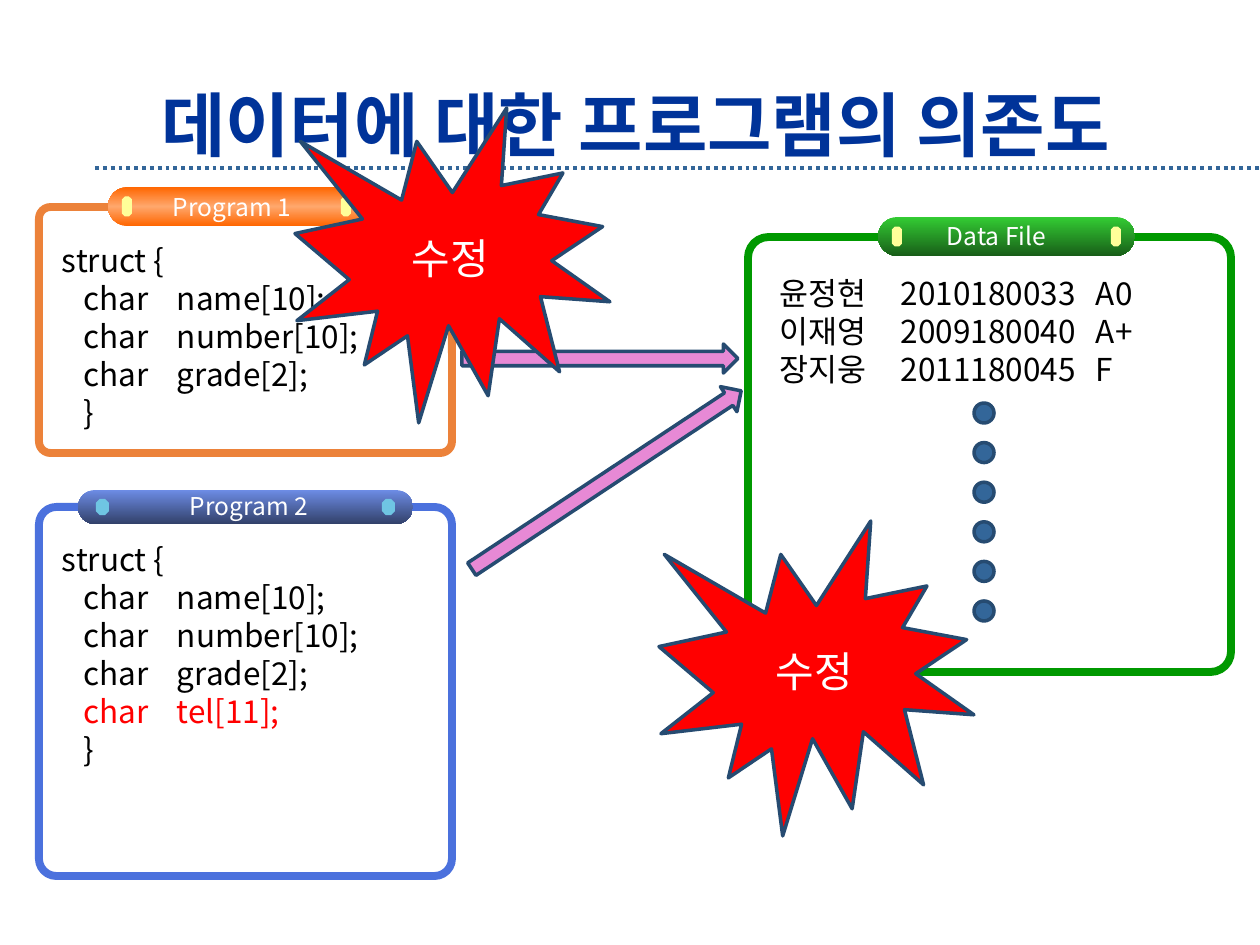
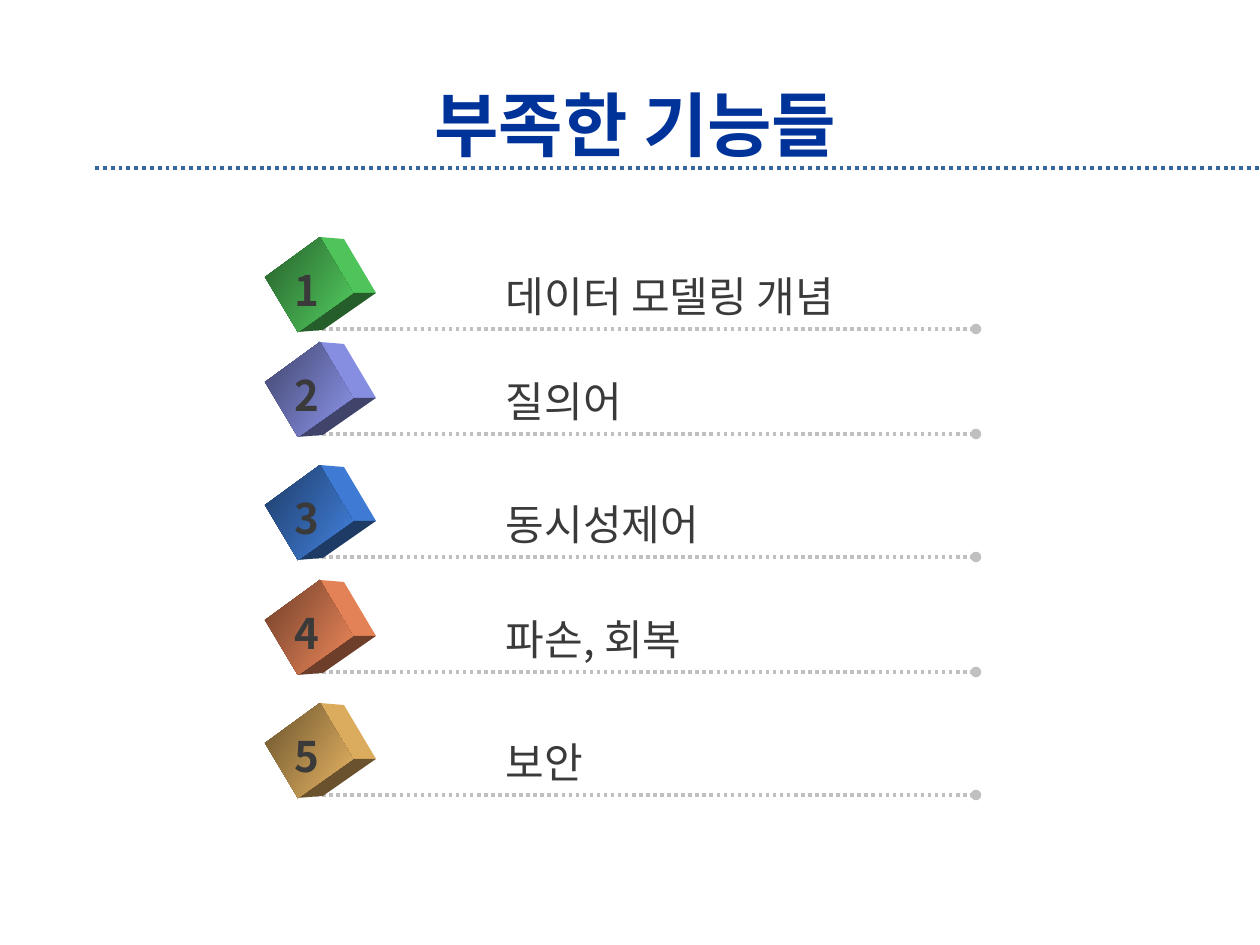
from lxml.etree import SubElement
from pptx import Presentation
from pptx.dml.color import RGBColor
from pptx.enum.dml import MSO_LINE
from pptx.enum.shapes import MSO_CONNECTOR, MSO_SHAPE
from pptx.enum.text import MSO_ANCHOR, PP_ALIGN
from pptx.oxml.ns import qn
from pptx.util import Emu, Pt

PX = 914400 / 126
WIDTH, HEIGHT = 1260, 945
KOREAN, CODE = "Noto Sans CJK KR", "Noto Sans CJK JP"
LINE_HEIGHT = 1.28
CODE_LINE_HEIGHT = 1.205

COLORS = {
    "title": "003399", "rule": "336699", "outline": "264B71", "white": "FFFFFF",
    "black": "000000", "red": "FF0000", "arrow": "E789D5", "item": "3A3A3A",
    "item_rule": "C0C0C0", "yellow": "FFFF99", "cyan": "6FC5E3",
    "green": "009900", "orange": "EC823A", "blue": "4B71DD",
}

DEPENDENCY_TITLE = "데이터에 대한 프로그램의 의존도"
STRUCT = ["struct {", "   char\tname[10];", "   char\tnumber[10];", "   char\tgrade[2];"]
STRUCT_END = "   }"
PHONE_FIELD = "   char\ttel[11];"
PANELS = [
    {
        "name": "Data File", "name_at": (947, 219),
        "frame": (748, 237, 483, 435), "frame_color": "green",
        "pill": (878, 217, 257, 39), "pill_colors": ["33CC33", "185E18"],
        "light": (10, 20, 14), "light_color": "yellow",
        "lines": ["윤정현\t2010180033\tA0", "이재영\t2009180040\tA+", "장지웅\t2011180045\tF"],
        "lines_at": (780, 274, 427), "tabs": [121, 316],
    },
    {
        "name": "Program 1", "name_at": (173, 190),
        "frame": (39, 207, 413, 246), "frame_color": "orange",
        "pill": (108, 187, 257, 39), "pill_colors": ["FF6600", "FFA76C", "FF6600"],
        "light": (10, 20, 14), "light_color": "yellow",
        "lines": STRUCT + [STRUCT_END],
        "lines_at": (62, 241, 368), "tabs": [115],
    },
    {
        "name": "Program 2", "name_at": (190, 489),
        "frame": (39, 507, 413, 369), "frame_color": "blue",
        "pill": (78, 490, 335, 34), "pill_colors": ["6D8CE5", "32416A"],
        "light": (13, 16, 18), "light_color": "cyan",
        "lines": STRUCT + [PHONE_FIELD, STRUCT_END],
        "lines_at": (62, 540, 368), "tabs": [115],
    },
]
DOT_COUNT, DOT_LEFT, DOT_SIZE = 6, 974, 20
DOT_TOP, DOT_SPAN = 403, 198
ARROWS = [((462, 344, 276, 29), 0), ((445, 465, 323, 30), 326.5)]
CHANGE_TEXT = "수정"
CHANGE_BURSTS = [(659, 521, 315, 315), (295, 108, 315, 315)]

MISSING_TITLE = "부족한 기능들"
# text, y of the dotted line, cube colour
MISSING_FEATURES = [
    ("데이터 모델링 개념", 329, "54D060"),
    ("질의어", 434, "8E97EE"),
    ("동시성제어", 557, "4383E1"),
    ("파손, 회복", 672, "F28A5C"),
    ("보안", 795, "EAB764"),
]
CUBE_LEFT, CUBE_HEIGHT = 265, 92
CUBE_FRONT = [(0, 40), (55, 0), (88, 56), (33, 95)]
CUBE_SIDE = [(55, 0), (79, 2), (111, 56), (88, 56)]
CUBE_BOTTOM = [(88, 56), (111, 56), (58, 93), (33, 95)]


def px(length):
    return Emu(round(length * PX))


def rgb(color):
    return RGBColor.from_string(COLORS.get(color, color))


def darken(color, factor):
    return "".join(f"{round(int(color[i:i + 2], 16) * factor):02X}" for i in (0, 2, 4))


def paint(shape, fill=None, line=None, line_width=2):
    """Set fill and outline; a list of colours is a gradient from top to bottom."""
    shape.shadow.inherit = False
    if isinstance(fill, list):
        set_gradient(shape, fill, 270)
    elif fill:
        shape.fill.solid()
        shape.fill.fore_color.rgb = rgb(fill)
    else:
        shape.fill.background()
    if line:
        shape.line.color.rgb = rgb(line)
        shape.line.width = Pt(line_width)
    else:
        shape.line.fill.background()


def set_gradient(shape, colors, angle):
    shape.fill.gradient()
    shape.fill.gradient_angle = angle
    stops = shape._element.spPr.find(qn("a:gradFill")).find(qn("a:gsLst"))
    for stop in list(stops):
        stops.remove(stop)
    for index, color in enumerate(colors):
        position = index * 100000 // (len(colors) - 1)
        stop = SubElement(stops, qn("a:gs"), pos=str(position))
        SubElement(stop, qn("a:srgbClr"), val=color)


def add_box(slide, kind, box, fill=None, line=None, line_width=2, adjustment=None):
    shape = slide.shapes.add_shape(kind, *map(px, box))
    if adjustment is not None:
        shape.adjustments[0] = adjustment
    paint(shape, fill, line, line_width)
    return shape


def add_polygon(slide, points, left, top, fill):
    corners = [(left + x, top + y) for x, y in points]
    builder = slide.shapes.build_freeform(*corners[0], scale=PX)
    builder.add_line_segments(corners[1:])
    shape = builder.convert_to_shape()
    paint(shape, fill)
    return shape


def add_dotted_line(slide, start, end, y, color, width, oval_end=False):
    line = slide.shapes.add_connector(MSO_CONNECTOR.STRAIGHT, px(start), px(y), px(end), px(y))
    line.line.color.rgb = rgb(color)
    line.line.width = Pt(width)
    line.line.dash_style = MSO_LINE.ROUND_DOT
    properties = line._element.spPr
    if oval_end:
        SubElement(properties.find(qn("a:ln")), qn("a:tailEnd"), type="oval")
    SubElement(properties, qn("a:effectLst"))


def write(shape, lines, size, color, font=KOREAN, bold=False, align=PP_ALIGN.LEFT,
          anchor=MSO_ANCHOR.TOP, tabs=(), line_height=LINE_HEIGHT):
    """Fill a shape with paragraphs, given as (text, colour) or as plain text."""
    frame = shape.text_frame
    frame.word_wrap = True
    frame.vertical_anchor = anchor
    frame.margin_left = frame.margin_right = frame.margin_top = frame.margin_bottom = 0
    for index, text in enumerate(lines):
        paragraph = frame.add_paragraph() if index else frame.paragraphs[0]
        if tabs:
            tab_list = SubElement(paragraph._p.get_or_add_pPr(), qn("a:tabLst"))
            for tab in tabs:
                SubElement(tab_list, qn("a:tab"), pos=str(px(tab)), algn="l")
        paragraph.alignment = align
        paragraph.line_spacing = Pt(round(size * line_height, 1))
        run = paragraph.add_run()
        run.text = text
        run.font.size = Pt(size)
        run.font.bold = bold
        run.font.color.rgb = rgb("red" if text == PHONE_FIELD else color)
        run.font.name = font
        SubElement(run._r.get_or_add_rPr(), qn("a:ea"), typeface=font)


def add_text(slide, box, lines, size, color, **style):
    write(slide.shapes.add_textbox(*map(px, box)), lines, size, color, **style)


def add_titled_slide(presentation, title):
    slide = presentation.slides.add_slide(presentation.slide_layouts[6])
    add_dotted_line(slide, 95, WIDTH, 168, "rule", 2.25)
    add_text(slide, (95, 84, 1081, 73), [title], 40, "title", bold=True,
             align=PP_ALIGN.CENTER, anchor=MSO_ANCHOR.MIDDLE)
    return slide


def add_panel(slide, panel):
    add_box(slide, MSO_SHAPE.ROUNDED_RECTANGLE, panel["frame"],
            line=panel["frame_color"], line_width=4.5, adjustment=0.047)
    add_box(slide, MSO_SHAPE.ROUNDED_RECTANGLE, panel["pill"], panel["pill_colors"],
            adjustment=0.5)
    left, top, width, height = panel["pill"]
    light_width, light_height, inset = panel["light"]
    light_top = top + (height - light_height) / 2
    for light_left in (left + inset, left + width - inset - light_width):
        add_box(slide, MSO_SHAPE.OCTAGON, (light_left, light_top, light_width, light_height),
                panel["light_color"], adjustment=0.293)
    add_text(slide, (*panel["name_at"], 140, 31), [panel["name"]], 14, "white")
    text_left, text_top, text_width = panel["lines_at"]
    add_text(slide, (text_left, text_top, text_width, 38 * len(panel["lines"])),
             panel["lines"], 18, "black", font=CODE, tabs=panel["tabs"],
             line_height=CODE_LINE_HEIGHT)


def add_dependency_slide(presentation):
    slide = add_titled_slide(presentation, DEPENDENCY_TITLE)
    for panel in PANELS:
        add_panel(slide, panel)
    for index in range(DOT_COUNT):
        top = DOT_TOP + DOT_SPAN * index / (DOT_COUNT - 1)
        add_box(slide, MSO_SHAPE.OVAL, (DOT_LEFT, top, DOT_SIZE, DOT_SIZE), "rule", "outline")
    for box, rotation in ARROWS:
        arrow = add_box(slide, MSO_SHAPE.RIGHT_ARROW, box, "arrow", "outline")
        arrow.rotation = rotation
    for box in CHANGE_BURSTS:
        burst = add_box(slide, MSO_SHAPE.EXPLOSION1, box, "red", "outline")
        write(burst, [CHANGE_TEXT], 24, "white", align=PP_ALIGN.CENTER,
              anchor=MSO_ANCHOR.MIDDLE)


def add_cube(slide, top, color):
    shade = darken(color, 0.45)
    add_polygon(slide, CUBE_SIDE, CUBE_LEFT, top, darken(color, 0.94))
    add_polygon(slide, CUBE_BOTTOM, CUBE_LEFT, top, shade)
    front = add_polygon(slide, CUBE_FRONT, CUBE_LEFT, top, color)
    set_gradient(front, [shade, color], 327)


def add_missing_features_slide(presentation):
    slide = add_titled_slide(presentation, MISSING_TITLE)
    for number, (text, line_y, color) in enumerate(MISSING_FEATURES, start=1):
        add_dotted_line(slide, 315, 976, line_y, "item_rule", 2, oval_end=True)
        add_cube(slide, line_y - CUBE_HEIGHT, color)
        add_text(slide, (506, line_y - 62, 400, 52), [text], 24, "item")
        add_text(slide, (281, line_y - 68, 52, 52), [str(number)], 24, "item",
                 bold=True, align=PP_ALIGN.CENTER)


def main():
    presentation = Presentation()
    presentation.slide_width, presentation.slide_height = px(WIDTH), px(HEIGHT)
    add_dependency_slide(presentation)
    add_missing_features_slide(presentation)
    presentation.save("out.pptx")


if __name__ == "__main__":
    main()
